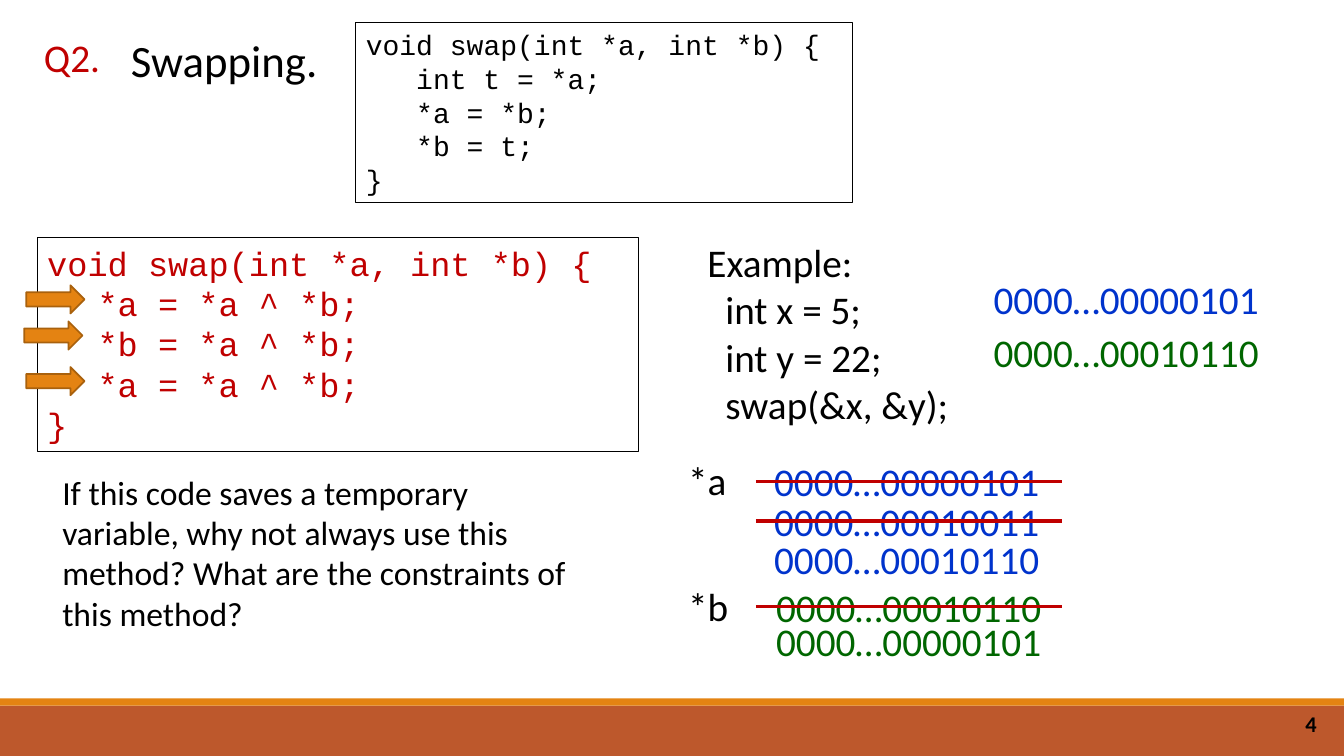
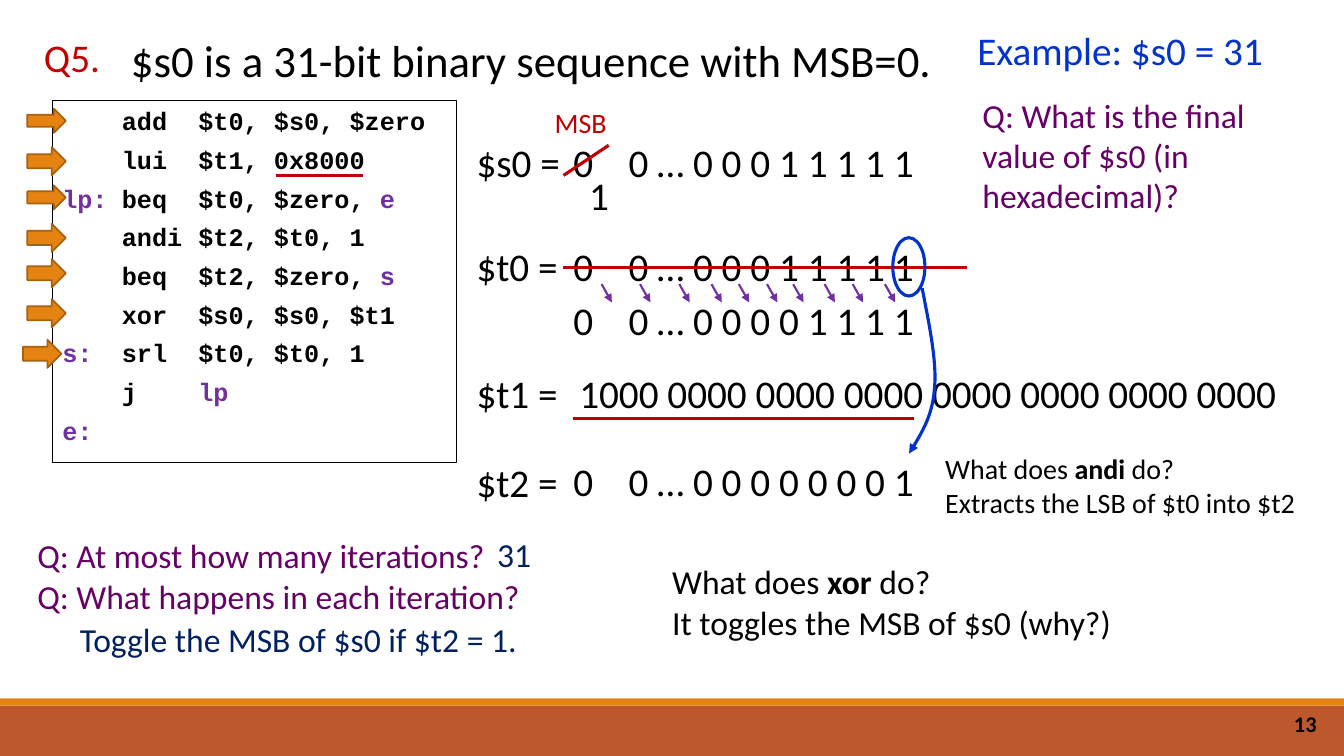
"""Build two tutorial slides on swapping with XOR and on a MIPS bit loop."""
from dataclasses import dataclass
from typing import Any

from lxml import etree
from pptx import Presentation
from pptx.dml.color import RGBColor
from pptx.enum.shapes import MSO_CONNECTOR, MSO_SHAPE
from pptx.enum.text import MSO_ANCHOR, PP_ALIGN
from pptx.oxml.ns import qn
from pptx.util import Cm, Pt

BLACK = RGBColor(0x00, 0x00, 0x00)
WHITE = RGBColor(0xFF, 0xFF, 0xFF)
RED = RGBColor(0xC0, 0x00, 0x00)
BLUE = RGBColor(0x00, 0x33, 0xCC)
GREEN = RGBColor(0x00, 0x66, 0x00)
PURPLE = RGBColor(0x70, 0x30, 0xA0)
PLUM = RGBColor(0x66, 0x00, 0x66)
NAVY = RGBColor(0x00, 0x20, 0x60)
ORANGE = RGBColor(0xE4, 0x83, 0x12)
BROWN = RGBColor(0xA9, 0x61, 0x0D)
RUST = RGBColor(0xBD, 0x58, 0x2C)

LEFT, CENTER, RIGHT = PP_ALIGN.LEFT, PP_ALIGN.CENTER, PP_ALIGN.RIGHT
TOP, MIDDLE = MSO_ANCHOR.TOP, MSO_ANCHOR.MIDDLE
RECT, OVAL, ARROW = MSO_SHAPE.RECTANGLE, MSO_SHAPE.OVAL, MSO_SHAPE.RIGHT_ARROW
STRAIGHT = MSO_CONNECTOR.STRAIGHT

SANS, MONO = "Calibri", "Courier New"
SLIDE_W, SLIDE_H = 33.87, 19.05
BIT_TAB = (1.39,)


@dataclass(frozen=True)
class Label:
    x: float
    y: float
    w: float
    text: str
    color: RGBColor = BLACK
    size: int = 28
    h: float = 1.45
    align: Any = LEFT
    tabs: tuple[float, ...] = ()


@dataclass(frozen=True)
class Line:
    x1: float
    y1: float
    x2: float
    y2: float
    color: RGBColor = RED
    width: float = 2.25
    arrow: bool = False


@dataclass(frozen=True)
class Pointer:
    x: float
    y: float
    w: float
    h: float


def write_text(sp: Any, text: str, *, size: int, color: RGBColor = BLACK,
               font: str = SANS, bold: bool = False, accent: RGBColor | None = None,
               align: Any = LEFT, anchor: Any = TOP, after: float = 0,
               tabs: tuple[float, ...] = ()) -> None:
    """Fill a shape with lines of text; parts between bars are accented."""
    tf = sp.text_frame
    tf.word_wrap = True
    tf.vertical_anchor = anchor
    for i, line in enumerate(text.split("\n")):
        p = tf.add_paragraph() if i else tf.paragraphs[0]
        p.alignment = align
        p.space_after = Pt(after)
        if tabs:
            stops = etree.SubElement(p._p.get_or_add_pPr(), qn("a:tabLst"))
            for pos in tabs:
                etree.SubElement(stops, qn("a:tab"), pos=str(Cm(pos)), algn="l")
        for j, part in enumerate(line.split("|")):
            if not part:
                continue
            marked = j % 2 == 1
            r = p.add_run()
            r.text = part
            r.font.name = font
            r.font.size = Pt(size)
            r.font.bold = bold or marked
            r.font.color.rgb = accent if marked and accent else color


def add_label(slide: Any, label: Label) -> None:
    """Draw a plain text label."""
    sp = slide.shapes.add_textbox(Cm(label.x), Cm(label.y), Cm(label.w), Cm(label.h))
    write_text(sp, label.text, size=label.size, color=label.color,
               align=label.align, tabs=label.tabs)


def set_line(sp: Any, color: RGBColor, width: float, arrow: bool = False) -> None:
    """Set the colour, width and arrowhead of an outline."""
    sp.line.color.rgb = color
    sp.line.width = Pt(width)
    if arrow:
        etree.SubElement(sp.line._get_or_add_ln(), qn("a:tailEnd"), type="triangle")


def add_box(slide: Any, kind: Any, x: float, y: float, w: float, h: float, *,
            fill: RGBColor | None = None, line: RGBColor | None = None,
            width: float = 0.75) -> Any:
    """Draw a preset shape with an optional fill and outline."""
    sp = slide.shapes.add_shape(kind, Cm(x), Cm(y), Cm(w), Cm(h))
    sp.shadow.inherit = False
    if fill is None:
        sp.fill.background()
    else:
        sp.fill.solid()
        sp.fill.fore_color.rgb = fill
    if line is None:
        sp.line.fill.background()
    else:
        set_line(sp, line, width)
    return sp


def add_line(shapes: Any, line: Line) -> None:
    """Draw a straight line or arrow."""
    sp = shapes.add_connector(STRAIGHT, Cm(line.x1), Cm(line.y1), Cm(line.x2), Cm(line.y2))
    set_line(sp, line.color, line.width, line.arrow)
    etree.SubElement(sp._element.spPr, qn("a:effectLst"))


def add_pointers(slide: Any, pointers: list[Pointer]) -> None:
    """Draw the block arrows that point at lines of code."""
    for a in pointers:
        add_box(slide, ARROW, a.x, a.y, a.w, a.h, fill=ORANGE, line=BROWN, width=1.25)


def add_curve(slide: Any, start: tuple[float, float],
              curves: list[tuple[tuple[float, float], ...]], steps: int = 12) -> None:
    """Draw cubic curves, joined end to end, as one open arrow."""
    points = [start]
    for c1, c2, end in curves:
        p0 = points[-1]
        for t in (k / steps for k in range(1, steps + 1)):
            u = 1 - t
            x, y = (u**3 * a + 3 * u * u * t * b + 3 * u * t * t * c + t**3 * d
                    for a, b, c, d in zip(p0, c1, c2, end))
            points.append((x, y))
    fb = slide.shapes.build_freeform(Cm(start[0]), Cm(start[1]))
    fb.add_line_segments([(Cm(x), Cm(y)) for x, y in points[1:]], close=False)
    sp = fb.convert_to_shape()
    sp.shadow.inherit = False
    sp.fill.background()
    set_line(sp, BLUE, 2.25, arrow=True)


def add_slide(prs: Any, number: int, question: str, title: str) -> Any:
    """Add a slide with its bands, page number, question mark and title."""
    slide = prs.slides.add_slide(prs.slide_layouts[6])
    add_box(slide, RECT, 0, 17.78, SLIDE_W, 1.27, fill=RUST)
    add_box(slide, RECT, 0, 17.6, SLIDE_W, 0.18, fill=ORANGE)
    sp = slide.shapes.add_textbox(Cm(25.81), Cm(17.73), Cm(7.62), Cm(1.02))
    write_text(sp, str(number), size=16, bold=True, align=RIGHT, anchor=MIDDLE)
    add_label(slide, Label(0.56, 0.71, 2.51, question, RED, align=CENTER))
    add_label(slide, Label(3.05, 0.71, 30, title, size=32, h=1.63))
    return slide


def build_swapping(prs: Any) -> None:
    """Build the slide on swapping two values."""
    slide = add_slide(prs, 4, "Q2.", "Swapping.")
    sp = add_box(slide, RECT, 8.97, 0.58, 12.52, 4.52, line=BLACK)
    write_text(sp, "void swap(int *a, int *b) {\n\tint t = *a;\n\t*a = *b;\n\t*b = t;\n}",
               size=20, font=MONO, tabs=(1.27,))
    sp = add_box(slide, RECT, 0.94, 5.99, 15.16, 5.38, line=BLACK)
    write_text(sp, "void swap(int *a, int *b) {\n\t*a = *a ^ *b;\n\t*b = *a ^ *b;\n"
               "\t*a = *a ^ *b;\n}", size=24, color=RED, font=MONO, tabs=(1.27,))

    five, mixed, twenty_two = "0000…00000101", "0000…00010011", "0000…00010110"
    values = [
        (24.33, 6.81, five, BLUE), (24.33, 8.15, twenty_two, GREEN),
        (18.8, 11.4, five, BLUE), (18.8, 12.4, mixed, BLUE), (18.8, 13.36, twenty_two, BLUE),
        (18.85, 14.58, twenty_two, GREEN), (18.85, 15.42, five, GREEN),
    ]
    labels = [
        Label(17.58, 5.89, 7.09, "Example:\n\tint x = 5;\n\tint y = 22;\n\tswap(&x, &y);",
              h=5.05, tabs=(0.45,)),
        Label(17.09, 11.38, 2.31, "*a"),
        Label(17.09, 14.55, 2.31, "*b"),
        Label(1.32, 11.76, 13.49, "If this code saves a temporary variable, why not always "
              "use this method? What are the constraints of this method?", size=24, h=4.37),
        *(Label(x, y, 8.1, text, color, align=CENTER) for x, y, text, color in values),
    ]
    for label in labels:
        add_label(slide, label)
    add_pointers(slide, [Pointer(x, y, 1.47, 0.71)
                         for x, y in ((0.66, 7.19), (0.61, 8.1), (0.66, 9.25))])
    for y in (12.14, 13.13, 15.29):
        add_line(slide.shapes, Line(19.05, y, 26.77, y))


def build_bit_loop(prs: Any) -> None:
    """Build the slide on the loop over the bits of a register."""
    slide = add_slide(prs, 13, "Q5.", "$s0 is a 31-bit binary sequence with MSB=0.")
    sp = add_box(slide, RECT, 1.32, 2.54, 10.19, 9.12, fill=WHITE, line=BLACK)
    write_text(sp, "\tadd\t$t0, $s0, $zero\n\tlui\t$t1, 0x8000\n"
               "|lp:|\tbeq\t$t0, $zero, |e|\n\tandi\t$t2, $t0, 1\n"
               "\tbeq\t$t2, $zero, |s|\n\txor\t$s0, $s0, $t1\n"
               "|s:|\tsrl\t$t0, $t0, 1\n\tj\t|lp|\n|e:|",
               size=18, font=MONO, bold=True, accent=PURPLE, after=6, tabs=(1.5, 3.43))

    registers = [("$s0 =", 3.35), ("$t0 =", 5.99), ("$t1 =", 9.19), ("$t2 =", 11.43)]
    bits = [
        ("0\t0 … 0 0 0 1 1 1 1 1", 3.35), ("0\t0 … 0 0 0 1 1 1 1 1", 5.99),
        ("0\t0 … 0 0 0 0 1 1 1 1", 7.34), ("0\t0 … 0 0 0 0 0 0 0 1", 11.4),
    ]
    labels = [
        *(Label(11.76, y, 2.82, name) for name, y in registers),
        *(Label(14.2, y, 10.49, text, tabs=BIT_TAB) for text, y in bits),
        Label(14.35, 9.19, 18.59, " ".join(["1000"] + ["0000"] * 7)),
        Label(13.72, 2.54, 1.83, "MSB", RED, 20, 1.12, CENTER),
        Label(14.4, 4.19, 1.4, "1", align=CENTER),
        Label(23.57, 11.25, 9.75, "What does |andi| do?\nExtracts the LSB of $t0 into $t2",
              size=20, h=1.96),
        Label(16.69, 14.02, 12.24, "What does |xor| do?\nIt toggles the MSB of $s0 (why?)",
              size=24, h=2.31),
        Label(24.38, 0.53, 8.53, "Example: $s0 = 31", BLUE),
        Label(24.51, 2.26, 8.89, "Q: What is the final value of $s0 (in hexadecimal)?",
              PLUM, 24, 3.33),
        Label(0.69, 13.36, 12.29, "Q: At most how many iterations?", PLUM, 24, 1.27),
        Label(11.99, 13.34, 1.93, "31", NAVY, 24, 1.27, CENTER),
        Label(0.69, 14.4, 12.8, "Q: What happens in each iteration?", PLUM, 24, 1.27),
        Label(1.55, 15.47, 11.94, "Toggle the MSB of $s0 if $t2 = 1.", NAVY, 24, 1.27, CENTER),
    ]
    for label in labels:
        add_label(slide, label)
    add_pointers(slide, [Pointer(x, y, 0.97, h) for x, y, h in (
        (0.69, 2.74, 0.61), (0.69, 3.71, 0.71), (0.69, 4.67, 0.61), (0.69, 5.64, 0.71),
        (0.69, 6.53, 0.71), (0.69, 7.54, 0.71), (0.58, 8.56, 0.71))])

    for line in (Line(6.96, 4.42, 9.14, 4.42), Line(14.45, 10.54, 23.04, 10.54),
                 Line(15.34, 3.66, 14.2, 4.42), Line(14.2, 6.73, 24.38, 6.73)):
        add_line(slide.shapes, line)
    shifts = slide.shapes.add_group_shape()
    for x in (15.16, 16.13, 17.12, 17.93, 18.62, 19.33, 19.99, 20.78, 21.49, 22.3):
        add_line(shifts.shapes, Line(x, 7.16, x + 0.26, 7.62, PURPLE, 1.5, True))
    add_box(slide, OVAL, 22.5, 5.99, 0.81, 1.47, line=BLUE, width=2.25)
    add_curve(slide, (23.24, 7.26), [((23.42, 8.2), (23.62, 9.12), (23.55, 9.8)),
                                     ((23.5, 10.52), (23.19, 10.97), (22.91, 11.43))])


def main() -> None:
    """Build and save the slides."""
    prs = Presentation()
    prs.slide_width, prs.slide_height = Cm(SLIDE_W), Cm(SLIDE_H)
    build_swapping(prs)
    build_bit_loop(prs)
    prs.save("out.pptx")


main()
